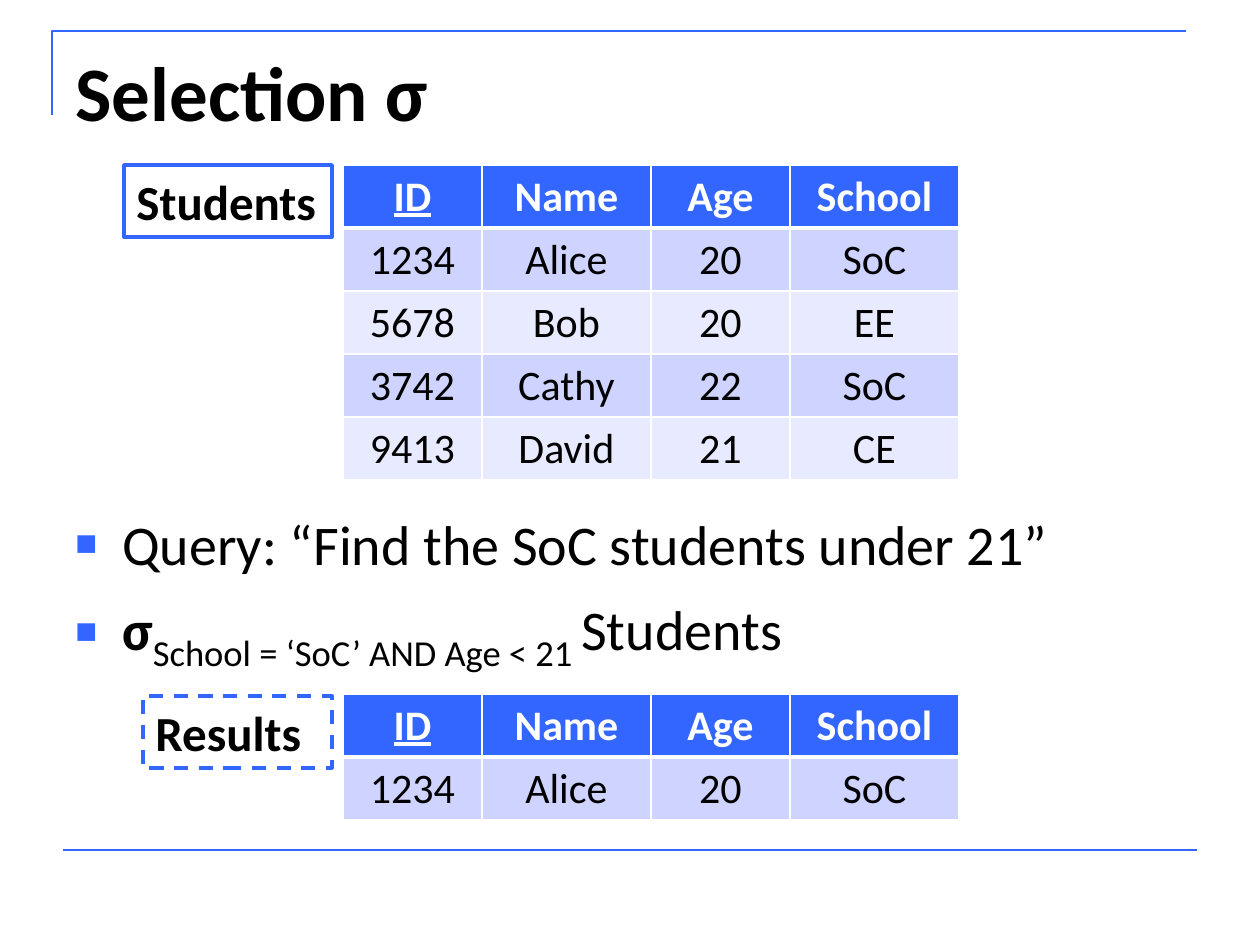
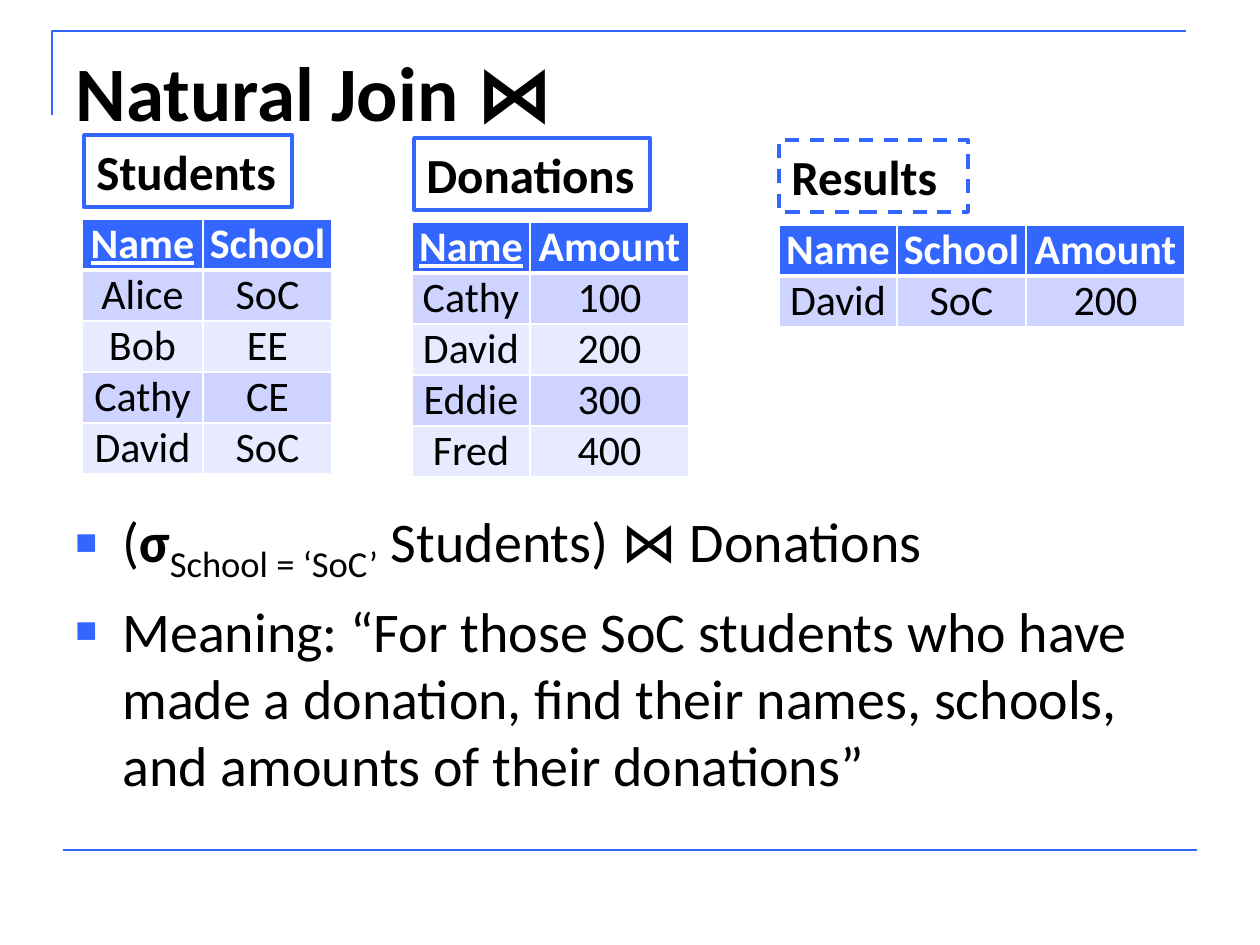
from lxml import etree
from pptx import Presentation
from pptx.dml.color import RGBColor
from pptx.enum.dml import MSO_LINE
from pptx.enum.shapes import MSO_CONNECTOR, MSO_SHAPE
from pptx.enum.text import MSO_ANCHOR, MSO_AUTO_SIZE, PP_ALIGN
from pptx.oxml.ns import qn
from pptx.util import Pt

DASH = MSO_LINE.DASH
STRAIGHT = MSO_CONNECTOR.STRAIGHT
RECT = MSO_SHAPE.RECTANGLE
TOP = MSO_ANCHOR.TOP
NO_FIT = MSO_AUTO_SIZE.NONE
LEFT, CENTER = PP_ALIGN.LEFT, PP_ALIGN.CENTER

SCALE = 914400 / 126  # EMU in one px
FONT = "Calibri"
BLUE, BLACK, WHITE = "3366FF", "000000", "FFFFFF"
BANDS = ["CED3FF", "E8EAFF"]
INDENT = 47


def px(n):
    return round(n * SCALE)


def color(code):
    return RGBColor.from_string(code)


def style(font, size, code=BLACK, bold=False):
    font.name = FONT
    font.size = Pt(size)
    font.bold = bold
    font.color.rgb = color(code)


def stroke(line, width):
    line.color.rgb = color(BLUE)
    line.width = Pt(width)


# Slide frame: corner line, bottom rule and title
def add_frame(deck, title):
    slide = deck.slides.add_slide(deck.slide_layouts[5])
    shapes = slide.shapes
    pen = shapes.build_freeform(52, 115, scale=SCALE)
    pen.add_line_segments([(52, 31), (1186, 31)], close=False)
    corner = pen.convert_to_shape()
    corner.shadow.inherit = False
    corner.fill.background()
    stroke(corner.line, 1.5)

    rule = shapes.add_connector(STRAIGHT, px(63), px(850), px(1197), px(850))
    etree.SubElement(rule._element.spPr, qn("a:effectLst"))
    stroke(rule.line, 1.5)

    head = shapes.title
    head.left, head.top = px(63), px(38)
    head.width, head.height = px(1134), px(158)
    frame = head.text_frame
    frame.text = title
    frame.auto_size = NO_FIT
    frame.vertical_anchor = TOP
    frame.paragraphs[0].alignment = LEFT
    style(frame.paragraphs[0].runs[0].font, 44, bold=True)
    return slide


# Boxed name of a relation
def add_label(slide, text, left, top, width, dashed=False):
    box = slide.shapes.add_shape(RECT, px(left), px(top), px(width), px(72))
    box.shadow.inherit = False
    box.fill.background()
    stroke(box.line, 2)
    if dashed:
        box.line.dash_style = DASH
    frame = box.text_frame
    frame.text = text
    frame.word_wrap = True
    frame.vertical_anchor = TOP
    frame.paragraphs[0].alignment = LEFT
    style(frame.paragraphs[0].runs[0].font, 28, bold=True)


def add_border(cell, head):
    props = cell._tc.get_or_add_tcPr()
    for side in "LRTB":
        thick = (head and side == "B")
        line = etree.SubElement(props, qn(f"a:ln{side}"),
                                w=str(Pt(3 if thick else 1)))
        fill = etree.SubElement(line, qn("a:solidFill"))
        etree.SubElement(fill, qn("a:srgbClr"), val=WHITE)


# Relation with a header row, banded rows and an optional underlined key
def add_relation(slide, left, top, widths, rows, pitch, key=True, tight=False):
    grid = slide.shapes.add_table(
        len(rows), len(widths), px(left), px(top),
        px(sum(widths)), px(pitch * len(rows))).table
    for col, width in zip(grid.columns, widths):
        col.width = px(width)
    for r, row in enumerate(rows):
        head = r == 0
        grid.rows[r].height = px(pitch)
        for c, text in enumerate(row.split()):
            cell = grid.cell(r, c)
            add_border(cell, head)
            cell.fill.solid()
            cell.fill.fore_color.rgb = color(BLUE if head else BANDS[(r - 1) % 2])
            if tight:
                cell.margin_left = cell.margin_right = 0
                cell.margin_top = cell.margin_bottom = 0
            cell.text_frame.text = text
            para = cell.text_frame.paragraphs[0]
            para.alignment = CENTER
            font = para.runs[0].font
            style(font, 24, WHITE if head else BLACK, head)
            font.underline = head and key and c == 0


def add_bullet(para):
    props = para._p.get_or_add_pPr()
    props.set("marL", str(px(INDENT)))
    props.set("indent", str(-px(INDENT)))
    tint = etree.SubElement(props, qn("a:buClr"))
    etree.SubElement(tint, qn("a:srgbClr"), val=BLUE)
    etree.SubElement(props, qn("a:buSzPct"), val="65000")
    etree.SubElement(props, qn("a:buFont"), typeface="Arial")
    etree.SubElement(props, qn("a:buChar"), char="■")


# Bulleted text; each item is a list of (text, kind) parts
def add_points(slide, top, height, items):
    box = slide.shapes.add_textbox(px(63), px(top), px(1134), px(height))
    frame = box.text_frame
    frame.word_wrap = True
    for i, parts in enumerate(items):
        para = frame.add_paragraph() if i else frame.paragraphs[0]
        add_bullet(para)
        if i:
            para.space_before = Pt(6.4)
        for text, kind in parts:
            run = para.add_run()
            run.text = text
            sub = kind == "sub"
            style(run.font, 36 if sub else 32, bold=kind == "bold")
            if sub:
                run._r.get_or_add_rPr().set("baseline", "-25000")


def add_selection(deck):
    slide = add_frame(deck, "Selection σ")
    widths = [139, 169, 139, 169]
    head, alice = "ID Name Age School", "1234 Alice 20 SoC"
    add_points(slide, 503, 343, [
        [("Query: “Find the SoC students under 21”", "plain")],
        [("σ", "bold"), ("School = ‘SoC’ AND Age < 21 ", "sub"),
         ("Students", "plain")],
    ])
    add_relation(slide, 343, 165, widths, [
        head, alice, "5678 Bob 20 EE", "3742 Cathy 22 SoC", "9413 David 21 CE",
    ], 63)
    add_label(slide, "Students", 124, 165, 208)
    add_label(slide, "Results", 143, 696, 189, dashed=True)
    add_relation(slide, 343, 694, widths, [head, alice], 63)


def add_join(deck):
    slide = add_frame(deck, "Natural Join ⋈")
    name, school, amount = 118, 129, 159
    add_points(slide, 493, 353, [
        [("(", "plain"), ("σ", "bold"), ("School = ‘SoC’", "sub"),
         (" Students) ⋈ Donations", "plain")],
        [("Meaning: “For those SoC students who have made a donation, "
          "find their names, schools, and amounts of their donations”",
          "plain")],
    ])
    add_relation(slide, 82, 219, [121, school], [
        "Name School", "Alice SoC", "Bob EE", "Cathy CE", "David SoC",
    ], 51, tight=True)
    add_label(slide, "Students", 84, 135, 208)
    add_relation(slide, 412, 222, [name, amount], [
        "Name Amount", "Cathy 100", "David 200", "Eddie 300", "Fred 400",
    ], 51, tight=True)
    add_label(slide, "Donations", 414, 138, 236)
    add_relation(slide, 779, 225, [name, school, amount], [
        "Name School Amount", "David SoC 200",
    ], 51, key=False, tight=True)
    add_label(slide, "Results", 779, 140, 189, dashed=True)


def main():
    deck = Presentation()
    deck.slide_width, deck.slide_height = px(1260), px(945)
    add_selection(deck)
    add_join(deck)
    deck.save("out.pptx")


if __name__ == "__main__":
    main()
